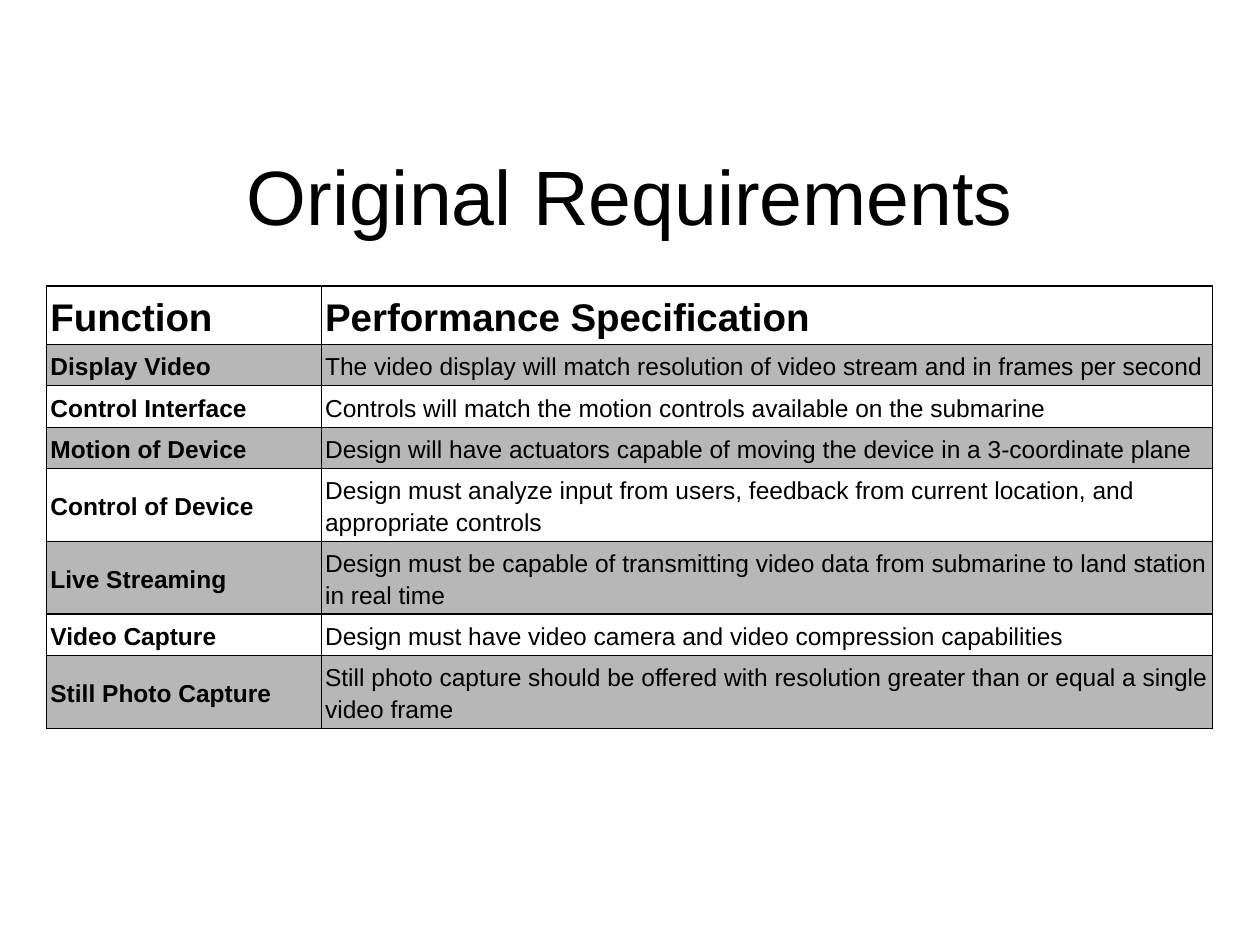
from lxml import etree
from pptx import Presentation
from pptx.dml.color import RGBColor
from pptx.enum import text
from pptx.oxml import ns
from pptx.util import Inches, Pt

BLACK = RGBColor(0x00, 0x00, 0x00)
WHITE = RGBColor(0xFF, 0xFF, 0xFF)
GRAY = RGBColor(0xB7, 0xB7, 0xB7)
FONT = "Arial"
ROW_HEIGHT = 0.33
COLUMN_WIDTHS = (2.18, 7.07)

REQUIREMENTS = [
    ("Function", "Performance Specification"),
    ("Display Video", "The video display will match resolution of video stream "
     "and in frames per second"),
    ("Control Interface", "Controls will match the motion controls available "
     "on the submarine"),
    ("Motion of Device", "Design will have actuators capable of moving the "
     "device in a 3-coordinate plane"),
    ("Control of Device", "Design must analyze input from users, feedback from "
     "current location, and appropriate controls"),
    ("Live Streaming", "Design must be capable of transmitting video data from "
     "submarine to land station in real time"),
    ("Video Capture", "Design must have video camera and video compression "
     "capabilities"),
    ("Still Photo Capture", "Still photo capture should be offered with "
     "resolution greater than or equal a single video frame"),
]


def write_text(tf, content, size, bold=False, align=text.PP_ALIGN.LEFT,
               line_spacing=1.0):
    p = tf.paragraphs[0]
    p.alignment = align
    p.line_spacing = line_spacing
    r = p.add_run()
    r.text = content
    r.font.name = FONT
    r.font.size = Pt(size)
    r.font.bold = bold
    r.font.color.rgb = BLACK


def add_title(s, content):
    sp = s.shapes.add_textbox(Inches(0.5), Inches(0.92), Inches(9), Inches(1.25))
    tf = sp.text_frame
    tf.word_wrap = True
    tf.vertical_anchor = text.MSO_ANCHOR.MIDDLE
    tf.margin_left = tf.margin_right = Inches(0.1)
    tf.margin_top = tf.margin_bottom = Inches(0.1)
    write_text(tf, content, 44, align=text.PP_ALIGN.CENTER)


def set_borders(cell, width=0.75):
    tc_pr = cell._tc.get_or_add_tcPr()
    # Border lines must precede the fill in the cell properties
    for i, side in enumerate(("a:lnL", "a:lnR", "a:lnT", "a:lnB")):
        ln = etree.Element(ns.qn(side), w=str(Pt(width)))
        fill = etree.SubElement(ln, ns.qn("a:solidFill"))
        etree.SubElement(fill, ns.qn("a:srgbClr"), val=str(BLACK))
        tc_pr.insert(i, ln)


def format_cell(cell, color):
    cell.fill.solid()
    cell.fill.fore_color.rgb = color
    cell.vertical_anchor = text.MSO_ANCHOR.MIDDLE
    cell.margin_left = cell.margin_right = Inches(0.03)
    cell.margin_top = cell.margin_bottom = Inches(0.02)
    set_borders(cell)


def add_requirements_table(s, rows):
    frame = s.shapes.add_table(
        len(rows), len(COLUMN_WIDTHS), Inches(0.37), Inches(2.27),
        Inches(sum(COLUMN_WIDTHS)), Inches(ROW_HEIGHT * len(rows)))
    table = frame.table
    for column, width in zip(table.columns, COLUMN_WIDTHS):
        column.width = Inches(width)
    for i, row in enumerate(rows):
        for j, content in enumerate(row):
            cell = table.cell(i, j)
            format_cell(cell, GRAY if i % 2 else WHITE)
            write_text(cell.text_frame, content, 14 if i else 22,
                       bold=i == 0 or j == 0, line_spacing=1.15)


def main():
    prs = Presentation()
    prs.slide_width, prs.slide_height = Inches(10), Inches(7.5)
    s = prs.slides.add_slide(prs.slide_layouts[6])
    s.background.fill.solid()
    s.background.fill.fore_color.rgb = WHITE

    # Heading above the banded table
    add_title(s, "Original Requirements")
    add_requirements_table(s, REQUIREMENTS)
    prs.save("out.pptx")


if __name__ == "__main__":
    main()
